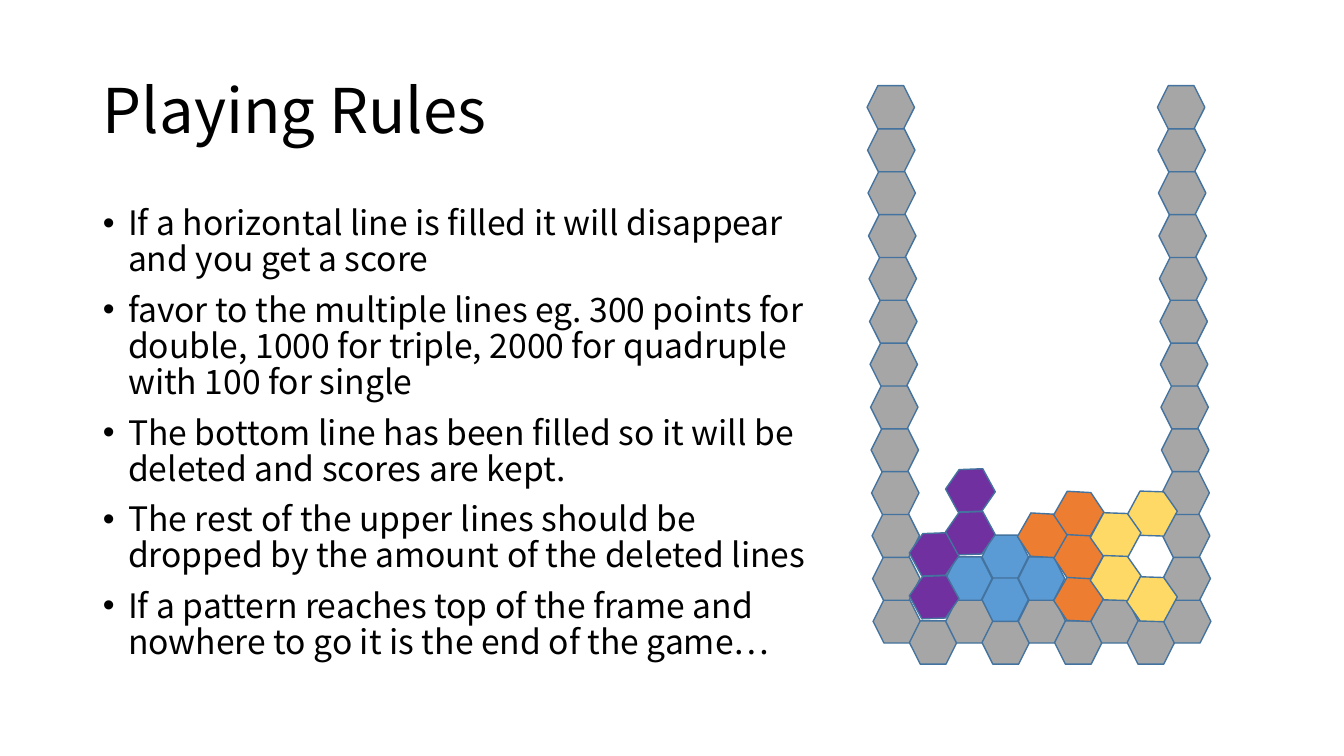
from dataclasses import dataclass

from lxml import etree
from pptx import Presentation
from pptx import util as u
from pptx.dml.color import RGBColor
from pptx.enum import shapes, text
from pptx.oxml import ns

TITLE = "Playing Rules"
RULES = [
    "If a horizontal line is filled it will disappear and you get a score",
    "favor to the multiple lines eg. 300 points for double, 1000 for triple, "
    "2000 for quadruple with 100 for single",
    "The bottom line has been filled so it will be deleted and scores are kept.",
    "The rest of the upper lines should be dropped by the amount of the deleted lines",
    "If a pattern reaches top of the frame and nowhere to go it is the end of the game…",
]


@dataclass(frozen=True)
class Theme:
    """Colours, font and type sizes of the slide."""
    font: str = "Noto Sans CJK KR"
    title_size: int = 44
    rule_size: int = 24
    ink: str = "000000"
    frame: str = "A6A6A6"
    edge: str = "43739E"
    blue: str = "5B9BD5"
    purple: str = "7030A0"
    orange: str = "ED7D31"
    yellow: str = "FFD966"


THEME = Theme()

# Cells are (column, steps above the frame's floor).
# Each piece: colour, rotation, cell size, nudge, cells
PIECES = [
    (THEME.blue, 0, (0.46, 0.43), (0, 0), [(3, 2), (4, 1), (3, 1), (2, 1)]),
    (THEME.purple, 61.4, (0.47, 0.42), (0.01, -0.02), [(2, 3), (1, 2), (2, 2), (1, 1)]),
    (THEME.orange, 119.7, (0.48, 0.42), (0, 0), [(5, 1), (5, 2), (4, 2), (5, 3)]),
    (THEME.yellow, 118.4, (0.49, 0.42), (0, 0), [(7, 1), (7, 3), (6, 2), (6, 1)]),
]

COLUMNS, WALL_STEPS = 9, 12
FLOOR_LEFT, FLOOR_TOP = 8.66, 5.95
COLUMN_PITCH, STEP = 0.36, 0.425
ODD_DROP = 0.21
FRAME_CELL = (0.47, 0.43)
LEAN = 0.005


def cell_at(column, steps):
    """Return the left and top of a board cell; odd columns sit half a step lower."""
    return (FLOOR_LEFT + COLUMN_PITCH * column,
            FLOOR_TOP + ODD_DROP * (column % 2) - STEP * steps)


def add_cell(group, left, top, size, colour, turn=0):
    """Add one hexagon to a group."""
    cell = group.shapes.add_shape(shapes.MSO_SHAPE.HEXAGON, u.Inches(left), u.Inches(top),
                                  *map(u.Inches, size))
    cell.rotation = turn
    cell.shadow.inherit = False
    cell.fill.solid()
    cell.fill.fore_color.rgb = RGBColor.from_string(colour)
    cell.line.color.rgb = RGBColor.from_string(THEME.edge)
    cell.line.width = u.Pt(1)


def add_frame(slide):
    """Build the floor and the two slightly leaning walls."""
    frame = slide.shapes.add_group_shape()
    floor = [(column, 0) for column in range(COLUMNS)]
    walls = [(column, steps) for column in (0, COLUMNS - 1)
             for steps in range(1, WALL_STEPS + 1)]
    for column, steps in floor + walls:
        left, top = cell_at(column, steps)
        add_cell(frame, left - LEAN * steps, top, FRAME_CELL, THEME.frame)


def add_piece(slide, colour, turn, size, nudge, cells):
    """Build one four-cell piece as a group."""
    piece = slide.shapes.add_group_shape()
    for column, steps in cells:
        left, top = cell_at(column, steps)
        add_cell(piece, left + nudge[0], top + nudge[1], size, colour, turn)


def place(holder, left, top, width, height, anchor):
    """Position a placeholder and return its text frame."""
    holder.left, holder.top = u.Inches(left), u.Inches(top)
    holder.width, holder.height = u.Inches(width), u.Inches(height)
    frame = holder.text_frame
    frame.word_wrap = True
    frame.auto_size = text.MSO_AUTO_SIZE.NONE
    frame.vertical_anchor = anchor
    return frame


def write(paragraph, words, size):
    """Write one left-aligned run in the theme font."""
    paragraph.alignment = text.PP_ALIGN.LEFT
    paragraph.line_spacing = 0.9
    run = paragraph.add_run()
    run.text = words
    run.font.size = u.Pt(size)
    run.font.name = THEME.font
    run.font.color.rgb = RGBColor.from_string(THEME.ink)
    east_asian = etree.SubElement(run.font._element, ns.qn("a:ea"))
    east_asian.set("typeface", THEME.font)


def add_bullet(paragraph):
    """Give a paragraph a hanging bullet and space before it."""
    paragraph.space_before = u.Pt(10)
    properties = paragraph._p.get_or_add_pPr()
    properties.set("marL", str(u.Inches(0.25)))
    properties.set("indent", str(-u.Inches(0.25)))
    etree.SubElement(properties, ns.qn("a:buFont")).set("typeface", "Arial")
    etree.SubElement(properties, ns.qn("a:buChar")).set("char", "•")


deck = Presentation()
deck.slide_width, deck.slide_height = u.Inches(13.33), u.Inches(7.5)
slide = deck.slides.add_slide(deck.slide_layouts[1])

title = place(slide.shapes.title, 0.92, 0.4, 11.5, 1.45, text.MSO_ANCHOR.MIDDLE)
write(title.paragraphs[0], TITLE, THEME.title_size)

rules = place(slide.placeholders[1], 0.92, 2, 7.44, 4.76, text.MSO_ANCHOR.TOP)
for number, rule in enumerate(RULES):
    paragraph = rules.add_paragraph() if number else rules.paragraphs[0]
    write(paragraph, rule, THEME.rule_size)
    add_bullet(paragraph)

add_frame(slide)
for piece in PIECES:
    add_piece(slide, *piece)

deck.save("out.pptx")
